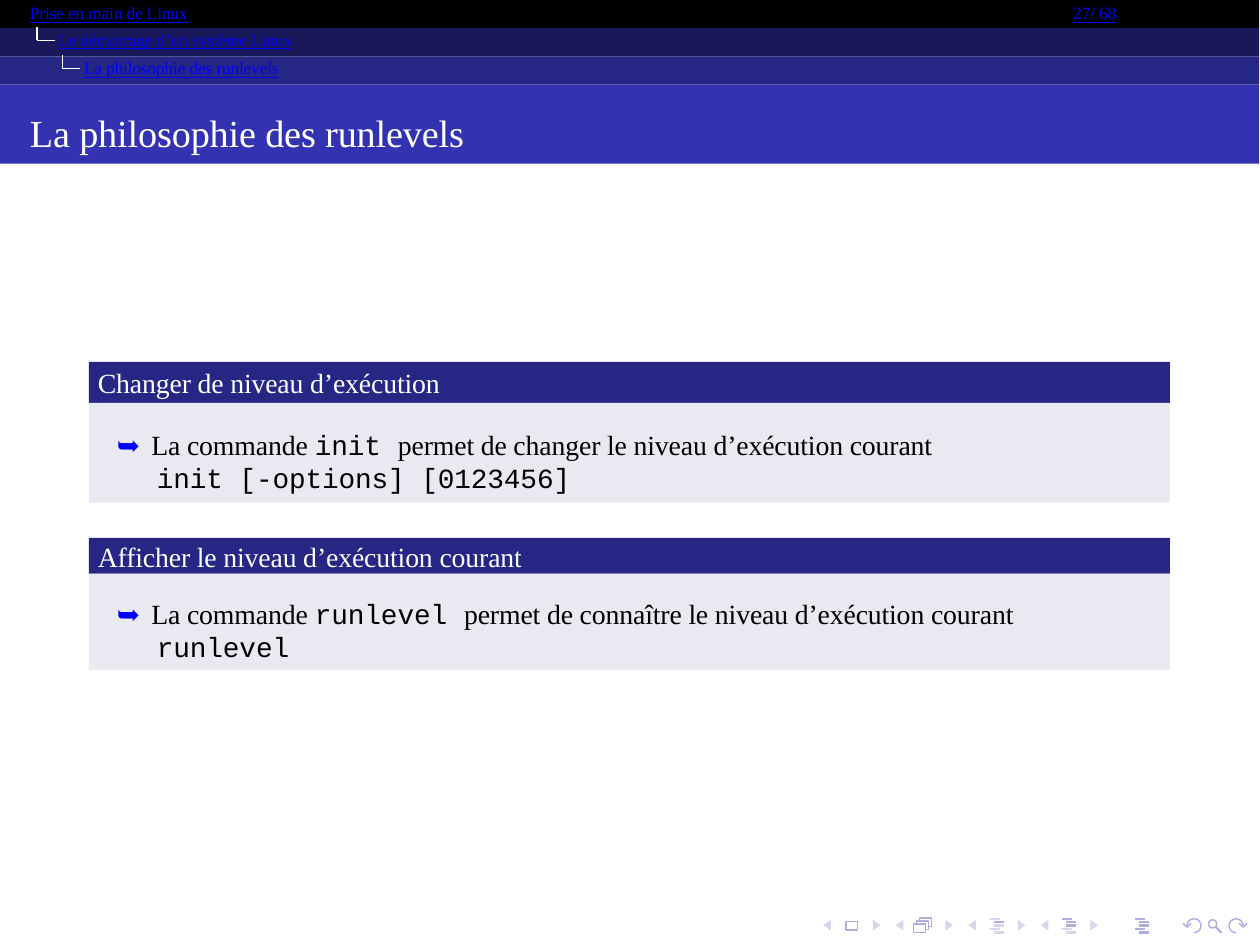
from math import cos, pi, sin

from lxml.etree import SubElement
from pptx import Presentation
from pptx.dml.color import RGBColor
from pptx.enum.shapes import MSO_CONNECTOR, MSO_SHAPE
from pptx.enum.text import PP_ALIGN
from pptx.oxml.ns import qn
from pptx.util import Inches, Pt

COLUMNS = 503.94
SERIF, MONO, SYMBOL = "Times New Roman", "Courier New", "Noto Sans CJK JP"
BLACK, WHITE, LINK = "000000", "FFFFFF", "0000FF"
NIGHT, NAVY, INDIGO, PALE = "191959", "262685", "3333B2", "E9E9F2"
ICON, FAINT = "ADADE0", "D6D6EF"
CRUMB_ROW = 11.3
NAV_LEFT, NAV_PITCH, NAV_MIDDLE = 329.5, 29, 370.2


def cells(count):
    return Inches(count / 100)


def color(value):
    return RGBColor.from_string(value)


def paint(shape, fill=None, line=None, width=0.4):
    shape.shadow.inherit = False
    if fill:
        shape.fill.solid()
        shape.fill.fore_color.rgb = color(fill)
    else:
        shape.fill.background()
    if line:
        shape.line.color.rgb = color(line)
        shape.line.width = Pt(width)
    else:
        shape.line.fill.background()


def add_preset(slide, preset, left, top, width, height, **look):
    shape = slide.shapes.add_shape(preset, *map(cells, (left, top, width, height)))
    paint(shape, **look)
    return shape


def add_line(slide, start, end, line, width=0.4):
    connector = slide.shapes.add_connector(
        MSO_CONNECTOR.STRAIGHT, *map(cells, (*start, *end)))
    connector.line.color.rgb = color(line)
    connector.line.width = Pt(width)
    SubElement(connector._element.spPr, qn("a:effectLst"))


def add_outline(slide, paths, closed=False, **look):
    contours = [[(cells(x), cells(y)) for x, y in path] for path in paths]
    builder = slide.shapes.build_freeform(*contours[0][0], scale=1.0)
    for number, contour in enumerate(contours):
        if number:
            builder.move_to(*contour[0])
        builder.add_line_segments(contour[1:], close=closed)
    paint(builder.convert_to_shape(), **look)


def set_frame(shape, top=0, wrap=True):
    frame = shape.text_frame
    frame.word_wrap = wrap
    frame.margin_top = cells(top)
    frame.margin_left = frame.margin_right = frame.margin_bottom = 0
    return frame


def set_indent(paragraph, margin, first=0):
    paragraph.alignment = PP_ALIGN.LEFT
    properties = paragraph._p.get_or_add_pPr()
    properties.set("marL", str(cells(margin)))
    properties.set("indent", str(cells(first)))


def add_text(paragraph, text, font=SERIF, size=8, fill=BLACK, underline=False, spacing=-0.05):
    run = paragraph.add_run()
    run.text = text
    run.font.name = font
    run.font.size = Pt(size)
    run.font.color.rgb = color(fill)
    run.font.underline = underline
    run._r.get_or_add_rPr().set("spc", str(round(spacing * 100)))


def add_crumbs(slide, texts, left, top, width, height, margin=0, first=0, wrap=False):
    box = slide.shapes.add_textbox(*map(cells, (left, top, width, height)))
    paragraph = set_frame(box, wrap=wrap).paragraphs[0]
    set_indent(paragraph, margin, first)
    paragraph.line_spacing = Pt(8.1)
    for text in texts:
        add_text(paragraph, text, size=5, fill=LINK, underline=True)


def add_band(slide, text, left, top, width, height, fill, size, margin, inset):
    band = add_preset(slide, MSO_SHAPE.RECTANGLE, left, top, width, height, fill=fill)
    paragraph = set_frame(band, inset).paragraphs[0]
    set_indent(paragraph, margin)
    add_text(paragraph, text, size=size, fill=WHITE)


def add_block(slide, heading, command, purpose, usage, top, split, bottom):
    left, width = 35.6, 432.6
    add_band(slide, heading, left, top, width, split - top, NAVY, 8, 3.6, 0.2)
    body = add_preset(slide, MSO_SHAPE.RECTANGLE, left, split, width, bottom - split, fill=PALE)
    frame = set_frame(body, 6.2)
    sentence, syntax = frame.paragraphs[0], frame.add_paragraph()
    set_indent(sentence, 11.2)
    set_indent(syntax, 27.2)
    add_text(sentence, "➥ ", font=SYMBOL, fill=LINK, spacing=0.7)
    add_text(sentence, "La commande ")
    add_text(sentence, command + " ", font=MONO)
    add_text(sentence, purpose)
    add_text(syntax, usage, font=MONO)
    for paragraph in frame.paragraphs:
        paragraph.line_spacing = Pt(9.6)


def add_header(slide):
    for level, fill in enumerate((BLACK, NIGHT, NAVY)):
        add_preset(slide, MSO_SHAPE.RECTANGLE, 0, level * CRUMB_ROW, COLUMNS, CRUMB_ROW, fill=fill)
    for level, left in enumerate((14.8, 25), start=1):
        top = level * CRUMB_ROW - 0.5
        corner = (left, top + 5.4)
        add_line(slide, (left, top), corner, WHITE)
        add_line(slide, corner, (left + 7.2, corner[1]), WHITE)
    add_crumbs(slide, ["Prise en main de Linux"], 12, -1.9, 66, CRUMB_ROW)
    add_crumbs(slide, ["27/ 68"], 429.5, -1.9, 19, CRUMB_ROW)
    add_crumbs(slide, ["Le démarrage d’un système Linux ", "La philosophie des runlevels"],
               22, 8.9, 98, 2 * CRUMB_ROW, margin=11.6, first=-10.2, wrap=True)
    add_band(slide, "La philosophie des runlevels", 0, 3 * CRUMB_ROW, COLUMNS, 31.6,
             INDIGO, 11, 12, 6.3)


def add_nav_arrows(slide, column):
    left = NAV_LEFT + column * NAV_PITCH
    triangles = [[(base, NAV_MIDDLE - 2.2), (tip, NAV_MIDDLE), (base, NAV_MIDDLE + 2.2)]
                 for base, tip in ((left + 3, left), (left + 19.8, left + 22.8))]
    add_outline(slide, triangles, closed=True, fill=FAINT)


def add_nav_bars(slide, column, dark_rows):
    left = NAV_LEFT + column * NAV_PITCH + 8.6
    for row, indent in enumerate((0, 1.6, 1.6, 0, 1.6)):
        start = left + indent
        y = 367.5 + row * 1.4
        add_line(slide, (start, y), (start + 4, y), ICON if row in dark_rows else FAINT, 0.6)


def add_nav_turn(slide, center, direction):
    def place(x, y):
        return center + direction * x, 370.4 + y

    steps = 12
    angles = [pi / 2 - 1.5 * pi * step / steps for step in range(steps + 1)]
    arc = [place(2.8 * cos(angle), 2.8 * sin(angle)) for angle in angles]
    head = [place(-1.2, -1), place(-2.8, 0.6), place(-4.4, -1)]
    add_outline(slide, [arc, head], line=ICON)


def add_navigation(slide):
    for column in range(4):
        add_nav_arrows(slide, column)
    for left, top in ((338.5, 368.6), (365.6, 369.6)):
        add_preset(slide, MSO_SHAPE.RECTANGLE, left, top, 4.7, 3.5, line=ICON)
    sheets = [[(x, y + 1.2), (x, y), (x + 4.8, y), (x + 4.8, y + 3.4), (x + 3.6, y + 3.4)]
              for x, y in ((366.8, 368.5), (368, 367.3))]
    add_outline(slide, sheets, line=ICON)
    for column, dark_rows in ((2, (1,)), (3, (0, 1, 2)), (4, range(5))):
        add_nav_bars(slide, column, dark_rows)
    add_preset(slide, MSO_SHAPE.OVAL, 483.6, 368, 3.3, 3.3, line=ICON)
    add_line(slide, (486.5, 370.9), (488.8, 373.2), ICON, 0.6)
    add_nav_turn(slide, 477.8, 1)
    add_nav_turn(slide, 494.6, -1)


def main():
    deck = Presentation()
    deck.slide_width = Pt(363)
    deck.slide_height = Pt(272.5)
    slide = deck.slides.add_slide(deck.slide_layouts[6])
    add_navigation(slide)
    add_header(slide)
    add_block(slide, "Changer de niveau d’exécution", "init",
              "permet de changer le niveau d’exécution courant",
              "init [-options] [0123456]", 144.8, 161.2, 201.2)
    add_block(slide, "Afficher le niveau d’exécution courant", "runlevel",
              "permet de connaître le niveau d’exécution courant",
              "runlevel", 215.2, 229.6, 268)
    deck.save("out.pptx")


if __name__ == "__main__":
    main()
